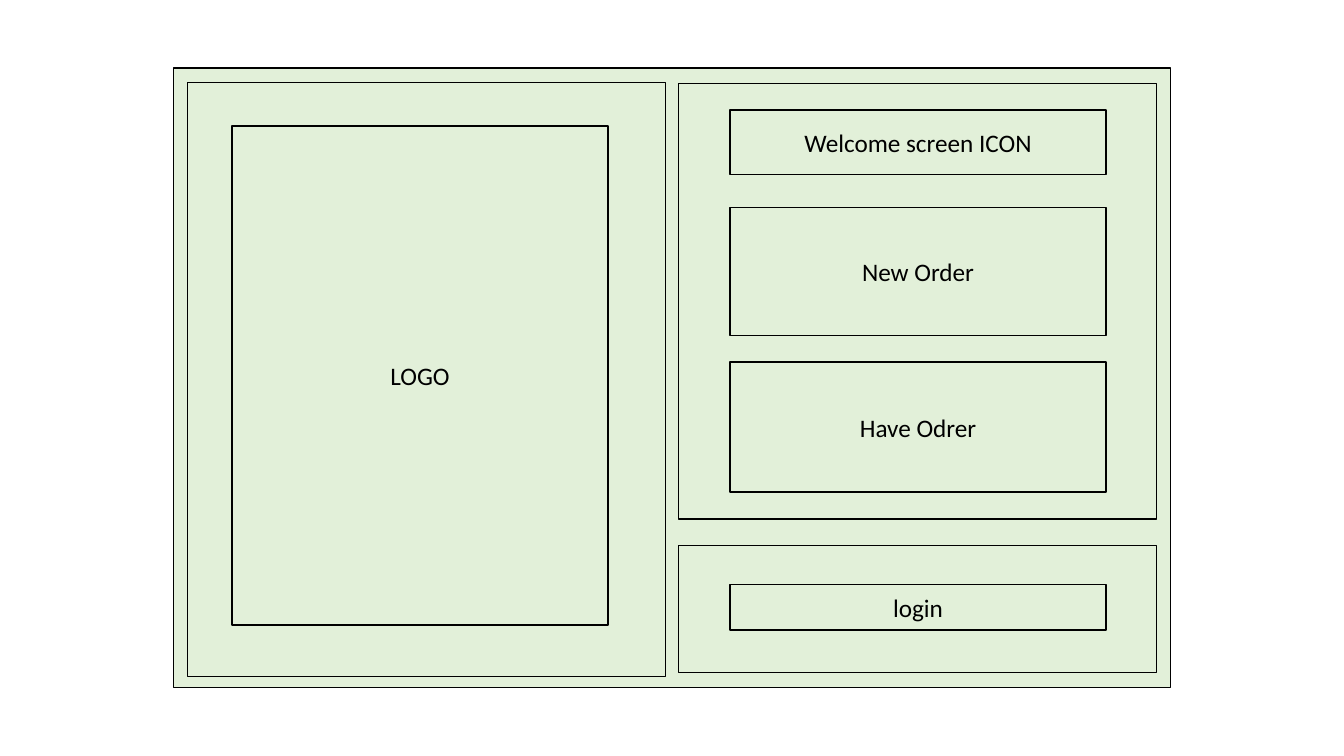
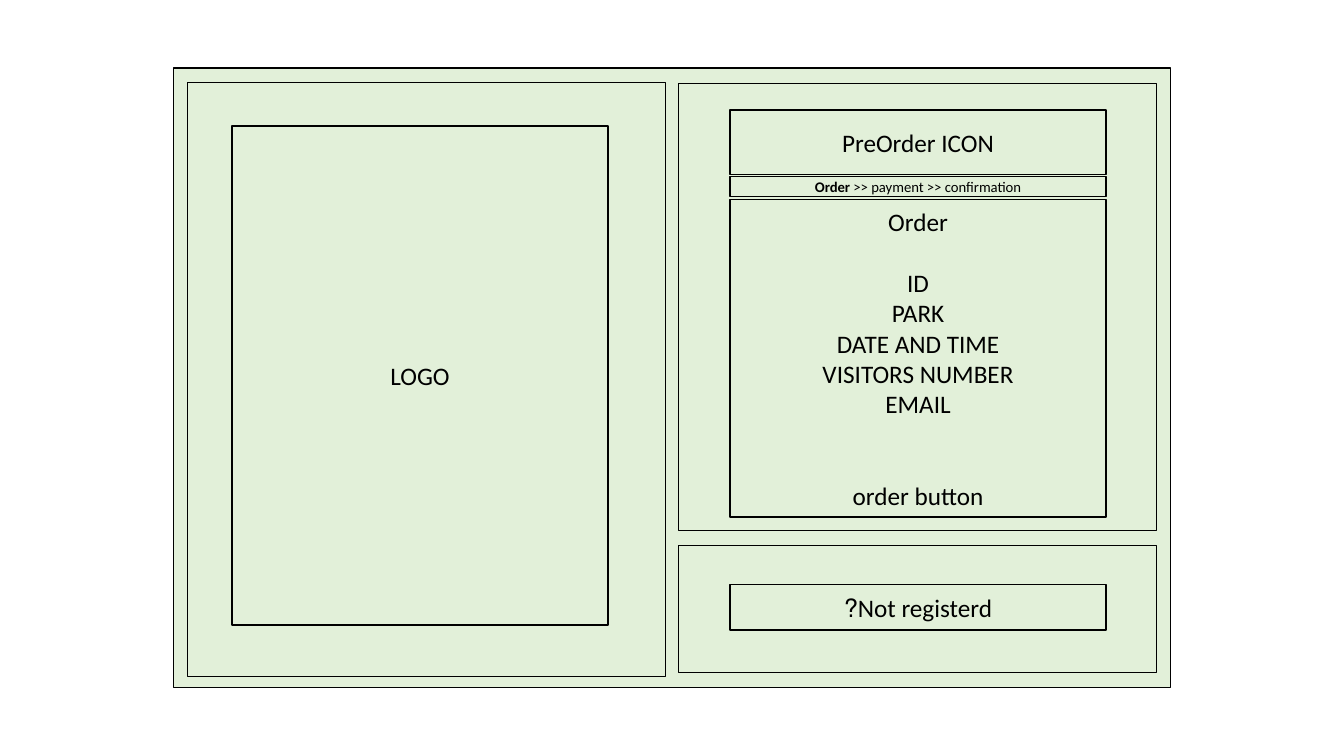
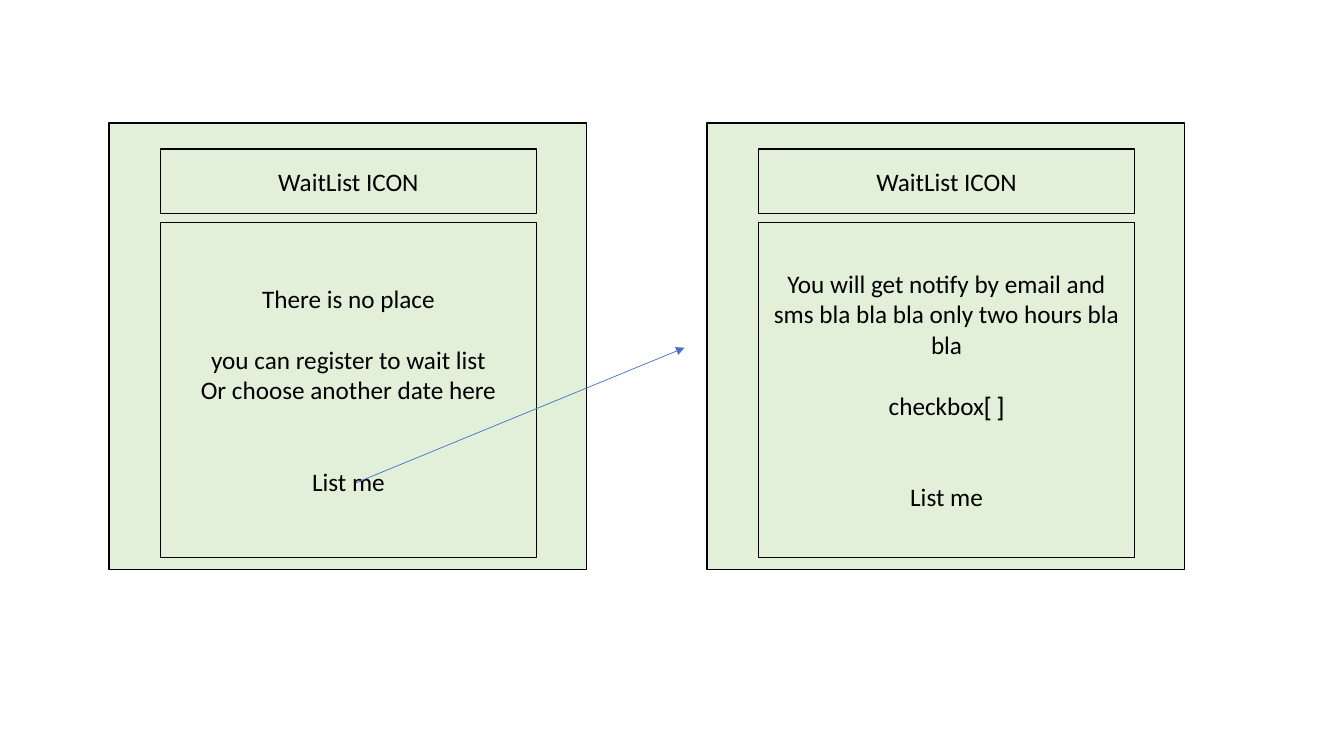
from pptx import Presentation
from pptx.dml.color import RGBColor
from pptx.enum import shapes, text
from pptx.oxml import parse_xml
from pptx.oxml.ns import nsdecls
from pptx.util import Inches, Pt

COLORS = {"panel": "E2F0D9", "ink": "000000", "arrow": "4472C4"}
FONT = "Calibri"
BODY_SIZE, STEP_SIZE = 18, 10.5
LINE_HEIGHT = 22
SLIDE_WIDTH, SLIDE_HEIGHT = Inches(13.33), Inches(7.5)
PANEL_WIDTH, FIELD_WIDTH, FIELD_INSET = 35.55, 28, 3.83
LEFT_PANEL, RIGHT_PANEL = 13.95, 50.48
HEADER_HEIGHT = 8.53


def color(name):
    return RGBColor.from_string(COLORS[name])


def across(percent):
    return round(SLIDE_WIDTH * percent / 100)


def down(percent):
    return round(SLIDE_HEIGHT * percent / 100)


def add_box(page, left, top, width, height):
    box = page.shapes.add_shape(
        shapes.MSO_SHAPE.RECTANGLE, across(left), down(top), across(width), down(height))
    box.shadow.inherit = False
    box.fill.solid()
    box.fill.fore_color.rgb = color("panel")
    box.line.color.rgb = color("ink")
    box.line.width = Pt(1)
    return box


def add_panel(page, left, top, height):
    return add_box(page, left, top, PANEL_WIDTH, height)


def style_paragraph(para, size):
    para.alignment = text.PP_ALIGN.CENTER
    para._p.get_or_add_pPr().set("rtl", "1")
    para.font.name = FONT
    para.font.size = Pt(size)
    para.font.color.rgb = color("ink")


def add_field(page, panel_left, top, height, *lines, inset=FIELD_INSET, size=BODY_SIZE):
    """Each line is a string, or a pair of a string and the lines of space above it."""
    box = add_box(page, panel_left + inset, top, FIELD_WIDTH, height)
    frame = box.text_frame
    frame.word_wrap = True
    frame.vertical_anchor = text.MSO_ANCHOR.MIDDLE
    for index, line in enumerate(lines):
        words, gap = (line, 0) if isinstance(line, str) else line
        para = frame.paragraphs[0] if index == 0 else frame.add_paragraph()
        style_paragraph(para, size)
        para.space_before = Pt(gap * LINE_HEIGHT)
        para.add_run().text = words
    return box


def add_steps(page, current, remaining):
    box = add_field(page, RIGHT_PANEL, 23.33, 2.67, current, size=STEP_SIZE)
    para = box.text_frame.paragraphs[0]
    para.runs[0].font.bold = True
    para.add_run().text = remaining


def add_arrow(page, start, end):
    arrow = page.shapes.add_connector(
        shapes.MSO_CONNECTOR.STRAIGHT,
        across(start[0]), down(start[1]), across(end[0]), down(end[1]))
    arrow.line.color.rgb = color("arrow")
    arrow.line.width = Pt(0.5)
    arrow.line._get_or_add_ln().append(
        parse_xml(f'<a:tailEnd {nsdecls("a")} type="triangle"/>'))
    arrow._element.spPr.append(parse_xml(f'<a:effectLst {nsdecls("a")}/>'))


def add_screen(page, title, footer, main_height):
    add_box(page, 12.9, 8.97, 74.2, 82)
    add_panel(page, LEFT_PANEL, 10.93, 78.53)
    add_panel(page, RIGHT_PANEL, 11.07, main_height)
    add_panel(page, RIGHT_PANEL, 72.13, 16.8)
    add_field(page, LEFT_PANEL, 16.67, 66, "LOGO", inset=3.3)
    add_field(page, RIGHT_PANEL, 14.53, HEADER_HEIGHT, title)
    add_field(page, RIGHT_PANEL, 77.33, 6, footer)


def add_wait_card(page, left, *lines):
    add_panel(page, left, 16.27, 59.07)
    add_field(page, left, 19.73, HEADER_HEIGHT, "WaitList ICON")
    add_field(page, left, 29.47, 44.27, *lines)


def build_welcome(page):
    add_screen(page, "Welcome screen ICON", "login", 57.6)
    add_field(page, RIGHT_PANEL, 27.47, 16.93, "New Order")
    add_field(page, RIGHT_PANEL, 47.87, 17.2, "Have Odrer")


def build_order(page):
    add_screen(page, "PreOrder ICON", "Not registerd?", 59.07)
    add_field(page, RIGHT_PANEL, 26.4, 42, "Order", ("ID", 1), "PARK", "DATE AND TIME",
              "VISITORS NUMBER", "EMAIL", ("order button", 2))
    add_steps(page, "Order", " >> payment >> confirmation")


def build_wait_list(page):
    add_wait_card(page, 8.1, "There is no place", ("you can register to wait list", 1),
                  "Or choose another date here", ("List me", 2))
    add_wait_card(page, 52.6,
                  "You will get notify by email and sms bla bla bla only two hours bla bla",
                  ("[ ]checkbox", 1), ("List me", 2))
    add_arrow(page, (26.48, 63.87), (50.93, 46))


def main():
    deck = Presentation()
    deck.slide_width, deck.slide_height = SLIDE_WIDTH, SLIDE_HEIGHT
    blank = deck.slide_layouts[6]
    for build in (build_welcome, build_order, build_wait_list):
        build(deck.slides.add_slide(blank))
    deck.save("out.pptx")


main()
